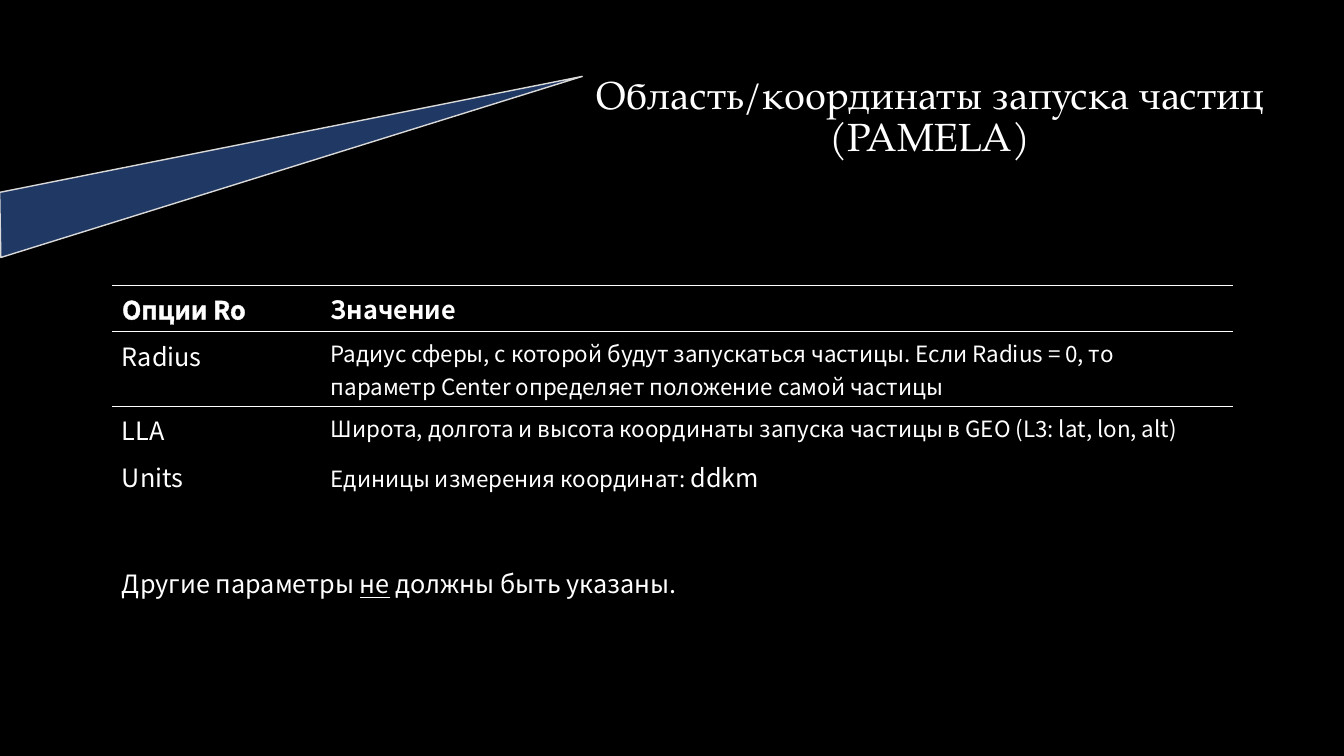
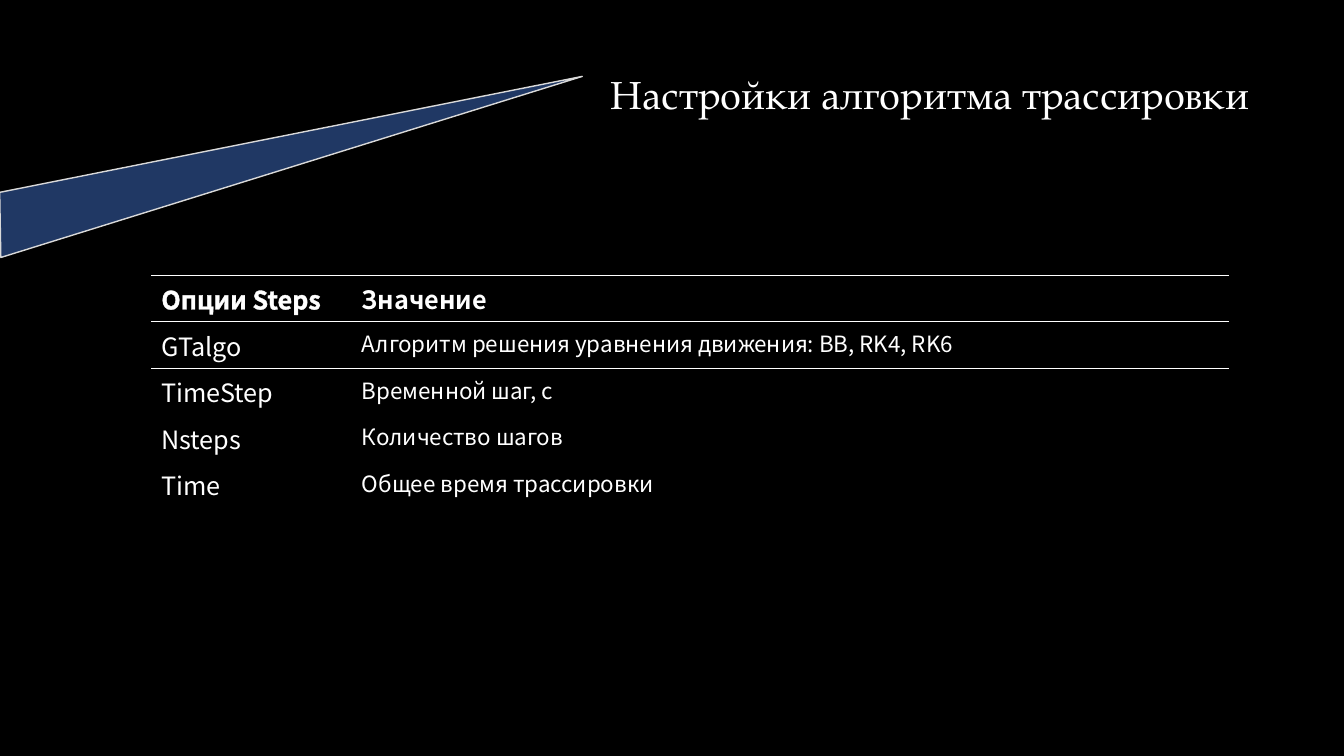
from dataclasses import dataclass

from pptx import Presentation
from pptx.dml import color
from pptx.enum import shapes, text
from pptx.oxml import ns
from pptx.util import Inches, Pt
from lxml import etree


@dataclass(frozen=True)
class Theme:
    background: str = "000000"
    ink: str = "FFFFFF"
    wedge: str = "203864"
    wedge_line: str = "D9D9D9"
    outline: str = "F2F2F2"
    title_font: str = "TeX Gyre Pagella"
    body_font: str = "Noto Sans CJK SC"
    title_size: int = 28
    option_size: int = 18
    value_size: int = 16
    rule: float = 1
    outline_width: float = 0.75


THEME = Theme()
OPTION = {"size": Pt(THEME.option_size)}
VALUE = {"size": Pt(THEME.value_size)}
HEADER = {**OPTION, "bold": True}
NO_GRID_STYLE = "{2D5ABB26-0587-4C30-8999-92F81FD0307C}"
ROW_HEIGHT = 0.41


def rgb(value):
    return color.RGBColor.from_string(value)


def set_all(target, values):
    for name, value in values.items():
        setattr(target, name, value)


def line_xml(tag, value, width):
    ln = etree.Element(ns.qn(tag), w=str(Pt(width)))
    fill = etree.SubElement(ln, ns.qn("a:solidFill"))
    etree.SubElement(fill, ns.qn("a:srgbClr"), val=value)
    return ln


def add_run(p, content, values, font=THEME.body_font):
    r = p.add_run()
    r.text = content
    set_all(r.font, {"name": font, **values})
    r.font.color.rgb = rgb(THEME.ink)
    return r


def add_title(s, box, content):
    sp = s.shapes.title
    set_all(sp, dict(zip(("left", "top", "width", "height"), map(Inches, box))))
    tf = sp.text_frame
    set_all(tf, {"word_wrap": True, "auto_size": text.MSO_AUTO_SIZE.NONE,
                 "vertical_anchor": text.MSO_ANCHOR.TOP})
    p = tf.paragraphs[0]
    set_all(p, {"alignment": text.PP_ALIGN.CENTER, "line_spacing": 0.9})
    for i, line in enumerate(content):
        if i:
            p.add_line_break()
        add_run(p, line, {"size": Pt(THEME.title_size)}, THEME.title_font)


def add_wedge(s, box):
    sp = s.shapes.add_shape(shapes.MSO_SHAPE.ISOSCELES_TRIANGLE, *map(Inches, box))
    sp.adjustments[0] = 0.03
    sp.rotation = 342.7
    sp.shadow.inherit = False
    sp.fill.solid()
    sp.fill.fore_color.rgb = rgb(THEME.wedge)
    sp.line.color.rgb = rgb(THEME.wedge_line)
    sp.line.width = Pt(THEME.rule)


def add_options(s, left, top, widths, header, rows):
    cells = [[[(header, HEADER)], [("Значение", HEADER)]]]
    cells += [[[(name, OPTION)], runs] for name, runs in rows]
    frame = s.shapes.add_table(len(cells), len(widths), Inches(left), Inches(top),
                               Inches(sum(widths)), Inches(ROW_HEIGHT * len(cells)))
    table = frame.table
    set_all(table, {"first_row": False, "horz_banding": False})
    frame._element.find(".//" + ns.qn("a:tableStyleId")).text = NO_GRID_STYLE
    for column, width in zip(table.columns, widths):
        column.width = Inches(width)
    for i, row in enumerate(cells):
        edges = {0: ("a:lnT", "a:lnB"), 1: ("a:lnT",)}.get(i, ())
        for j, runs in enumerate(row):
            cell = table.cell(i, j)
            cell.fill.background()
            tc_pr = cell._tc.get_or_add_tcPr()
            for k, edge in enumerate(edges):
                tc_pr.insert(k, line_xml(edge, THEME.ink, THEME.rule))
            for content, values in runs:
                r = add_run(cell.text_frame.paragraphs[0], content, values)
                if (i, j) == (0, 0):
                    r.font._element.insert(0, line_xml("a:ln", THEME.outline, THEME.outline_width))


def add_note(s, box, runs):
    tf = s.shapes.add_textbox(*map(Inches, box)).text_frame
    set_all(tf, {"word_wrap": True, "auto_size": text.MSO_AUTO_SIZE.SHAPE_TO_FIT_TEXT})
    for content, values in runs:
        add_run(tf.paragraphs[0], content, values)


def add_options_slide(prs, title, **table):
    s = prs.slides.add_slide(prs.slide_layouts.get_by_name("Title Only"))
    add_title(s, (5.58, 0.7, 7.29, 0.57), title)
    add_wedge(s, (-0.22, 1.05, 6.04, 0.62))
    add_options(s, **table)
    return s


def main():
    prs = Presentation()
    set_all(prs, {"slide_width": Inches(13.33), "slide_height": Inches(7.5)})
    fill = prs.slide_master.background.fill
    fill.solid()
    fill.fore_color.rgb = rgb(THEME.background)

    s = add_options_slide(
        prs, ["Область/координаты запуска частиц", "(PAMELA)"],
        left=1.11, top=2.83, widths=(2.07, 9.05), header="Опции Ro",
        rows=[
            ("Radius", [("Радиус сферы, с которой будут запускаться частицы. Если Radius = 0, то "
                         "параметр Center определяет положение самой частицы", VALUE)]),
            ("LLA", [("Широта, долгота и высота координаты запуска частицы в GEO "
                      "(L3: lat, lon, alt)", VALUE)]),
            ("Units", [("Единицы измерения координат: ", VALUE), ("ddkm", OPTION)]),
        ])
    add_note(s, (1.11, 5.59, 9.37, 0.4), [
        ("Другие параметры ", OPTION),
        ("не", {**OPTION, "underline": True}),
        (" должны быть указаны.", OPTION),
    ])

    add_options_slide(
        prs, ["Настройки алгоритма трассировки"],
        left=1.5, top=2.73, widths=(1.99, 8.7), header="Опции Steps",
        rows=[
            ("GTalgo", [("Алгоритм решения уравнения движения: BB, RK4, RK6", VALUE)]),
            ("TimeStep", [("Временной шаг, с", VALUE)]),
            ("Nsteps", [("Количество шагов", VALUE)]),
            ("Time", [("Общее время трассировки", VALUE)]),
        ])
    prs.save("out.pptx")


if __name__ == "__main__":
    main()
